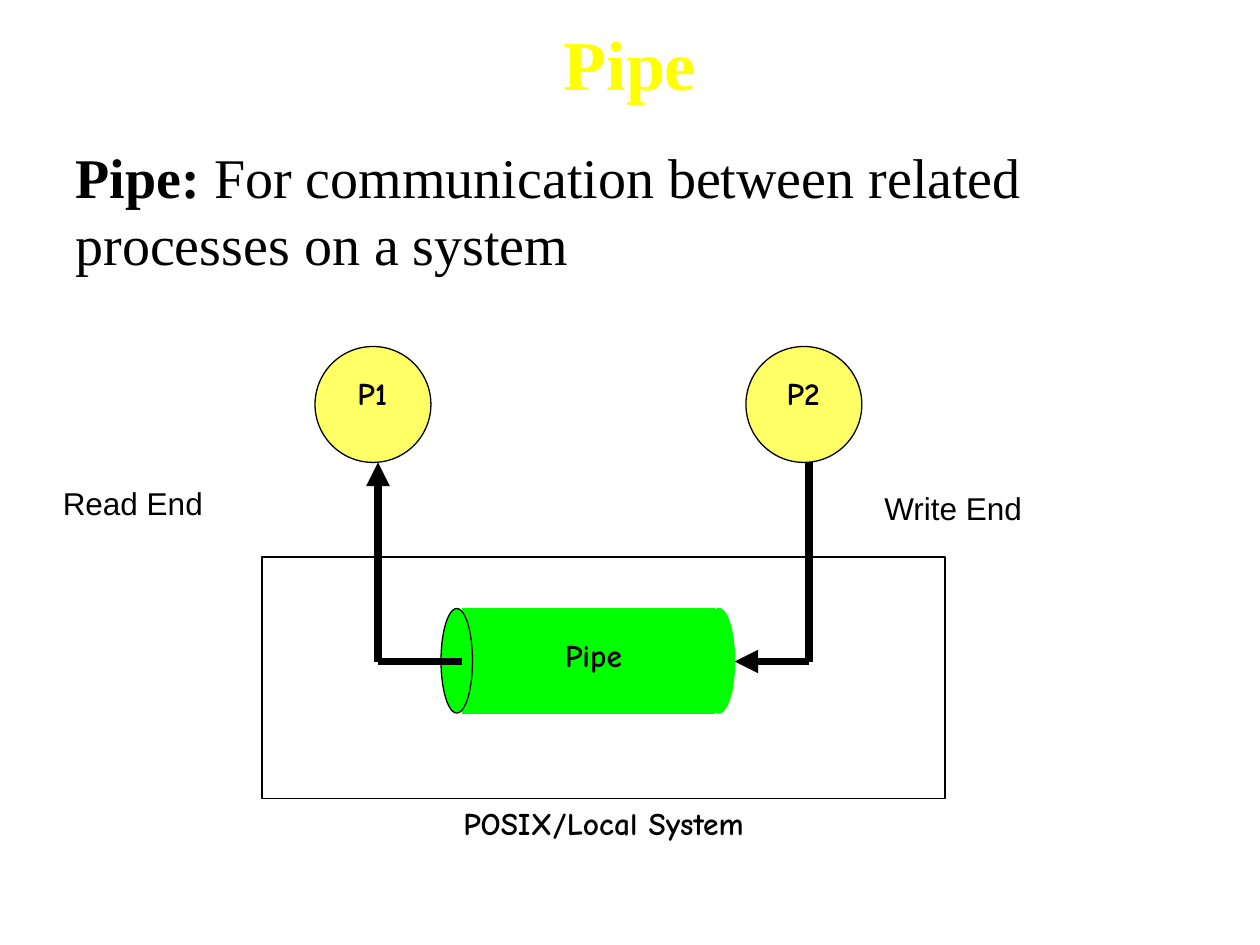
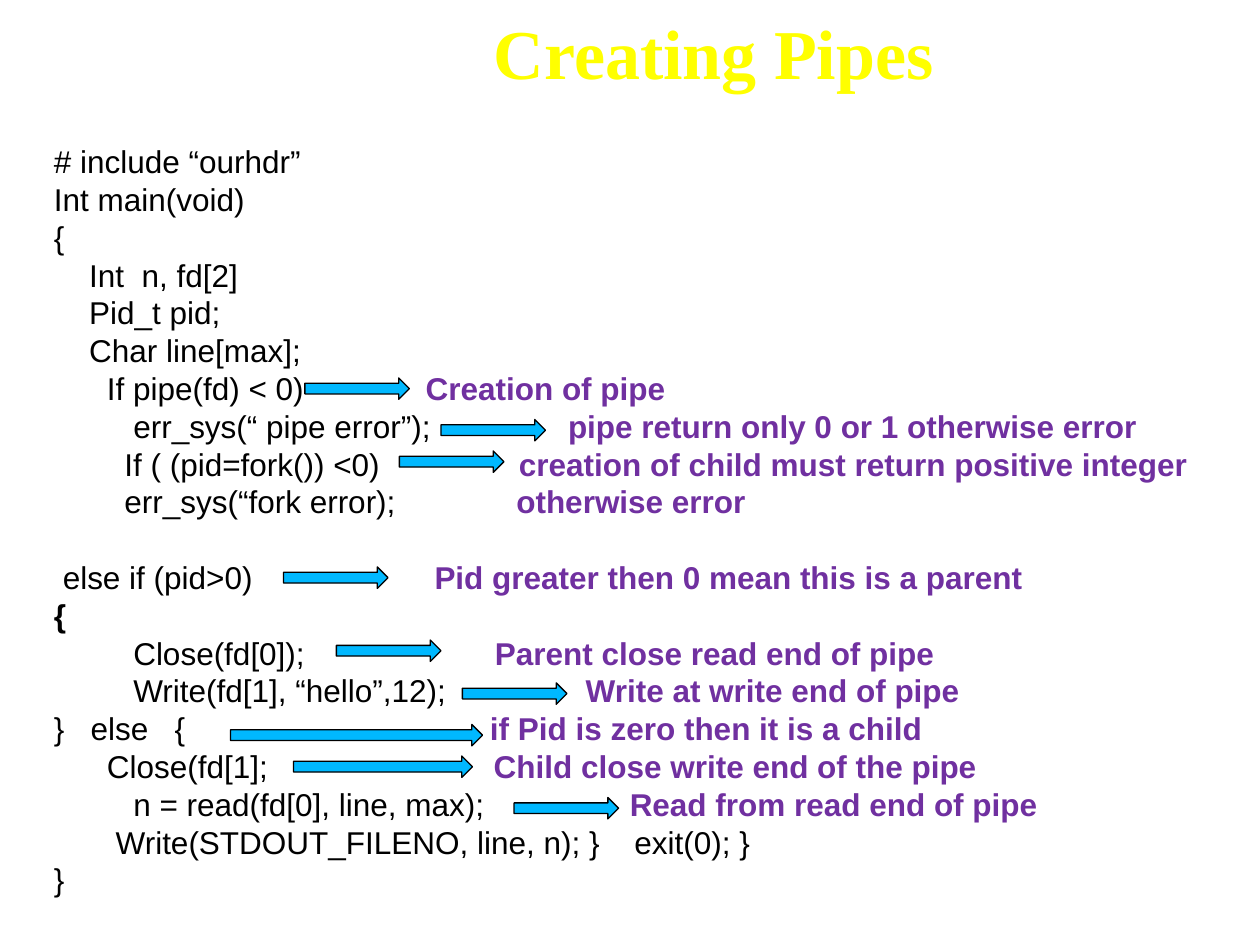
import pptx
import pptx.util
import pptx.dml.color
import pptx.enum.shapes
import pptx.enum.text
import pptx.oxml
import pptx.oxml.ns

Inches = pptx.util.Inches
Pt = pptx.util.Pt
RGBColor = pptx.dml.color.RGBColor
SHAPE = pptx.enum.shapes.MSO_SHAPE
ALIGN = pptx.enum.text.PP_ALIGN
ANCHOR = pptx.enum.text.MSO_ANCHOR

BLACK = RGBColor(0, 0, 0)
WHITE = RGBColor(255, 255, 255)
TITLE_YELLOW = RGBColor(255, 255, 0)
PROCESS_YELLOW = RGBColor(255, 255, 102)
PIPE_GREEN = RGBColor(0, 255, 0)
ARROW_BLUE = RGBColor(0, 184, 255)
COMMENT_PURPLE = RGBColor(112, 48, 160)

SERIF, SANS, COMIC = "Times New Roman", "Arial", "Comic Neue"
PAGE_WIDTH = 10
SPACE_WIDTH = 0.07  # one space of the code text, in inches
LINE_PITCH = 0.3  # distance between code lines, in inches


def add_span(para, text, font=SANS, size=18, color=BLACK, bold=False):
    """Append formatted text to a paragraph."""
    span = para.add_run()
    span.text = text
    span.font.name = font
    span.font.size = Pt(size)
    span.font.color.rgb = color
    span.font.bold = bold


def set_indent(para, indent):
    """Give a paragraph its first-line indent, in inches."""
    properties = para._p.get_or_add_pPr()
    properties.set("marL", "0")
    properties.set("indent", str(Inches(indent)))


class SlideBuilder:
    """Holds the deck's style and the slide being drawn."""

    def __init__(self):
        """Start an empty 10 by 7.5 inch deck."""
        self.deck = pptx.Presentation()
        self.deck.slide_width = Inches(PAGE_WIDTH)
        self.deck.slide_height = Inches(7.5)
        self.shapes = None

    def new_page(self):
        """Start a blank white slide."""
        page = self.deck.slides.add_slide(self.deck.slide_layouts[6])
        page.background.fill.solid()
        page.background.fill.fore_color.rgb = WHITE
        self.shapes = page.shapes

    def box(self, left, top, width, height, align=ALIGN.LEFT, anchor=ANCHOR.TOP):
        """Add a wrapping text box and return its text frame."""
        frame = self.shapes.add_textbox(Inches(left), Inches(top), Inches(width),
                                        Inches(height)).text_frame
        frame.word_wrap = True
        frame.vertical_anchor = anchor
        frame.paragraphs[0].alignment = align
        return frame

    def text(self, text, left, top, width, height, align=ALIGN.LEFT,
             anchor=ANCHOR.TOP, **style):
        """Add a text box holding one formatted line."""
        frame = self.box(left, top, width, height, align, anchor)
        add_span(frame.paragraphs[0], text, **style)

    def title(self, text, left, top, width, height, anchor=ANCHOR.TOP):
        """Add the yellow slide title."""
        self.text(text, left, top, width, height, ALIGN.CENTER, anchor,
                  font=SERIF, size=40, color=TITLE_YELLOW, bold=True)

    def label(self, text, left, top, width):
        """Add a centred bold diagram label."""
        self.text(text, left, top, width, 0.5, ALIGN.CENTER, font=COMIC, bold=True)

    def shape(self, kind, left, top, width, height, fill, line=BLACK):
        """Add a filled preset shape with a thin outline."""
        shape = self.shapes.add_shape(kind, Inches(left), Inches(top),
                                      Inches(width), Inches(height))
        shape.shadow.inherit = False
        shape.fill.solid()
        shape.fill.fore_color.rgb = fill
        shape.line.color.rgb = line
        shape.line.width = Pt(0.75)
        return shape

    def line(self, start, end, arrow=False):
        """Add a thick black line, with an arrowhead at its end if asked."""
        line = self.shapes.add_connector(
            pptx.enum.shapes.MSO_CONNECTOR.STRAIGHT,
            *[Inches(value) for value in start + end])
        line.line.color.rgb = BLACK
        line.line.width = Pt(4.5)
        namespace = pptx.oxml.ns.nsdecls("a")
        if arrow:
            line.line._get_or_add_ln().append(
                pptx.oxml.parse_xml('<a:tailEnd %s type="triangle"/>' % namespace))
        line._element.spPr.append(
            pptx.oxml.parse_xml("<a:effectLst %s/>" % namespace))

    def process(self, name, left):
        """Add a process circle with its name."""
        self.shape(SHAPE.OVAL, left, 2.75, 0.92, 0.92, PROCESS_YELLOW)
        self.label(name, left + 0.08, 2.92, 0.75)

    def code(self, blocks, left, top, width, height):
        """Add blocks of (indent, code, comment left, comment), a line apart."""
        frame = self.box(left, top, width, height)
        para = frame.paragraphs[0]
        row = 0
        for block in blocks:
            for spaces, code, comment_left, comment in block:
                if row:
                    para = frame.add_paragraph()
                if row and block[0][1] == code:
                    para.space_before = Inches(LINE_PITCH)
                set_indent(para, spaces * SPACE_WIDTH)
                add_span(para, code, bold=code == "{" and row > 2)
                if comment:
                    self.text(comment, comment_left, top + row * LINE_PITCH,
                              PAGE_WIDTH - comment_left, 0.4,
                              color=COMMENT_PURPLE, bold=True)
                row += 1
            row += 1


def draw_pipe_page(builder):
    """Draw the diagram of two processes joined by a pipe."""
    builder.new_page()
    builder.title("Pipe", 0.5, 0.25, 9, 0.5, ANCHOR.MIDDLE)
    para = builder.box(0.5, 1.08, 9.25, 1.58).paragraphs[0]
    add_span(para, "Pipe: ", font=SERIF, size=32, bold=True)
    add_span(para, "For communication between related processes on a system",
             font=SERIF, size=32)

    page_shapes = builder.shapes
    builder.shapes = page_shapes.add_group_shape().shapes
    builder.process("P1", 2.5)
    builder.process("P2", 5.92)
    builder.shape(SHAPE.RECTANGLE, 2.08, 4.42, 5.42, 1.92, WHITE)
    builder.label("POSIX/Local System", 2.08, 6.33, 5.42)
    for kind, left, width, line in ((SHAPE.OVAL, 5.58, 0.25, PIPE_GREEN),
                                    (SHAPE.RECTANGLE, 3.67, 2, PIPE_GREEN),
                                    (SHAPE.OVAL, 3.5, 0.25, BLACK)):
        builder.shape(kind, left, 4.83, width, 0.83, PIPE_GREEN, line)
    for start, corner, end in (((6.42, 3.67), (6.42, 5.25), (5.83, 5.25)),
                               ((3.67, 5.25), (3, 5.25), (3, 3.67))):
        builder.line(start, corner)
        builder.line(corner, end, arrow=True)
    builder.label("Pipe", 4.17, 5, 1.08)
    builder.shapes = page_shapes

    builder.text("Write End", 6.92, 3.83, 2.17, 0.42)
    builder.text("Read End", 0.4, 3.79, 2.17, 0.42)


# Each line: indent in spaces, code, left of the comment, comment.
SETUP_CODE = (
    (0, "# include “ourhdr”", 0, ""),
    (0, "Int main(void)", 0, ""),
    (0, "{", 0, ""),
    (4, "Int  n, fd[2]", 0, ""),
    (4, "Pid_t pid;", 0, ""),
    (4, "Char line[max];", 0, ""),
    (6, "If pipe(fd) < 0)", 3.28, "Creation of pipe"),
    (9, "err_sys(“ pipe error”);", 4.41, "pipe return only 0 or 1 otherwise error"),
    (8, "If ( (pid=fork()) <0)", 4.02,
     "creation of child must return positive integer"),
    (8, "err_sys(“fork error);", 4, "otherwise error"),
)
BRANCH_CODE = (
    (1, "else if (pid>0)", 3.35, "Pid greater then 0 mean this is a parent"),
    (0, "{", 0, ""),
    (9, "Close(fd[0]);", 3.83, "Parent close read end of pipe"),
    (9, "Write(fd[1], “hello”,12);", 4.55, "Write at write end of pipe"),
    (0, "}   else   {", 3.79, "if Pid is zero then it is a child"),
    (6, "Close(fd[1];", 3.82, "Child close write end of the pipe"),
    (9, "n = read(fd[0], line, max);", 4.9, "Read from read end of pipe"),
    (7, "Write(STDOUT_FILENO, line, n); }    exit(0); }", 0, ""),
    (0, "}", 0, ""),
)

# Left, top and width of each arrow from code to comment; the first three are flipped.
CODE_ARROWS = (
    (2.42, 3, 0.83), (3.5, 3.33, 0.83), (3.17, 3.58, 0.83),
    (2.25, 4.5, 0.83), (2.67, 5.08, 0.83), (3.67, 5.42, 0.83),
    (1.83, 5.75, 2), (2.33, 6, 1.42), (4.08, 6.33, 0.83),
)


def draw_code_page(builder):
    """Draw the annotated program that creates a pipe."""
    builder.new_page()
    builder.code((SETUP_CODE, BRANCH_CODE), 0.33, 1.08, 9.67, 6.42)
    builder.title("Creating Pipes", 1.5, 0.03, 8.33, 1)
    for number, (left, top, width) in enumerate(CODE_ARROWS):
        arrow = builder.shape(SHAPE.RIGHT_ARROW, left, top, width, 0.17, ARROW_BLUE)
        if number < 3:
            arrow._element.spPr.xfrm.set("flipV", "1")


def main():
    """Build both slides and save the deck."""
    builder = SlideBuilder()
    draw_pipe_page(builder)
    draw_code_page(builder)
    builder.deck.save("out.pptx")


main()
